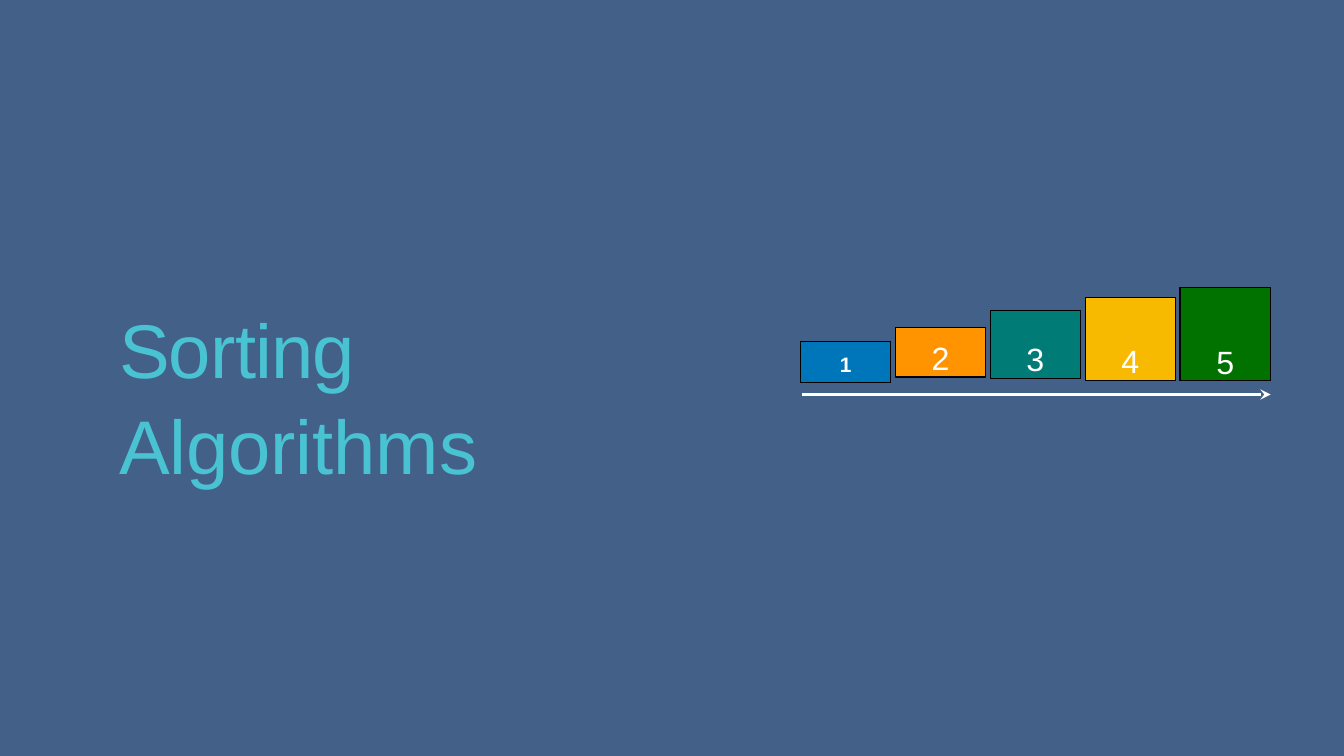
from lxml import etree
from pptx import Presentation
from pptx import util as u
from pptx.dml.color import RGBColor
from pptx.enum import shapes, text
from pptx.oxml.ns import qn

FONT = "Arial"
BARS = [
    ("1", "0076BA", 1.04, 9.64),
    ("2", "FF9300", 1.24, 9.5),
    ("3", "017B76", 1.7, 9.53),
    ("4", "F8BA00", 2.08, 9.58),
    ("5", "017100", 2.36, 9.6),
]


def paint(fmt, color):
    fmt.solid()
    fmt.fore_color.rgb = RGBColor.from_string(color)


def clear_insets(tf):
    tf.margin_left = tf.margin_top = tf.margin_right = tf.margin_bottom = 0


def add_run(p, words, size, color, bold=False, spacing=0):
    r = p.add_run()
    r.text = words
    r.font.name = FONT
    r.font.size = u.Pt(size)
    r.font.bold = bold
    paint(r.font.fill, color)
    if spacing:
        r._r.get_or_add_rPr().set("spc", str(spacing))


def add_title(s, left, top, width, height):
    sp = s.shapes.add_textbox(u.Cm(left), u.Cm(top), u.Cm(width), u.Cm(height))
    tf = sp.text_frame
    clear_insets(tf)
    tf.word_wrap = True
    p = tf.paragraphs[0]
    p.line_spacing = 1.05
    p.space_before = u.Pt(2.5)
    add_run(p, "Sorting ", 54.3, "49C3D2", spacing=-60)
    add_run(p, "Algorithms", 54.3, "49C3D2", spacing=-10)


def add_bar(s, left, width, number, color, height, bottom):
    sp = s.shapes.add_shape(shapes.MSO_SHAPE.RECTANGLE, u.Cm(left),
                            u.Cm(bottom - height), u.Cm(width), u.Cm(height))
    sp.shadow.inherit = False
    paint(sp.fill, color)
    paint(sp.line.fill, "000000")
    sp.line.width = u.Pt(0.82)
    tf = sp.text_frame
    clear_insets(tf)
    tf.vertical_anchor = text.MSO_ANCHOR.BOTTOM
    p = tf.paragraphs[0]
    p.alignment = text.PP_ALIGN.CENTER
    if number == "1":
        tf.margin_bottom = u.Cm(0.14)
        add_run(p, number, 14.9, "FFFFFF", bold=True, spacing=10)
    else:
        add_run(p, number, 23, "FFFFFF")


def add_arrow(s, left, right, y):
    line = s.shapes.add_connector(shapes.MSO_CONNECTOR.STRAIGHT,
                                  u.Cm(left), u.Cm(y), u.Cm(right), u.Cm(y))
    paint(line.line.fill, "FFFFFF")
    line.line.width = u.Pt(2.47)
    etree.SubElement(line.line._get_or_add_ln(), qn("a:tailEnd"),
                     type="stealth", w="med", len="med")
    etree.SubElement(line._element.spPr, qn("a:effectLst"))


def add_sorted_bars(s, left, width, arrow_y):
    gap = 0.11
    bar_width = (width - gap * (len(BARS) - 1)) / len(BARS)
    for i, bar in enumerate(BARS):
        add_bar(s, left + i * (bar_width + gap), bar_width, *bar)
    add_arrow(s, left + 0.05, left + width, arrow_y)


def main():
    prs = Presentation()
    prs.slide_width, prs.slide_height = u.Cm(33.87), u.Cm(19.05)
    s = prs.slides.add_slide(prs.slide_layouts[6])
    paint(s.background.fill, "436089")
    add_title(s, 3, 7.52, 15, 2.34)
    add_sorted_bars(s, 20.17, 11.85, 9.94)
    prs.save("out.pptx")


if __name__ == "__main__":
    main()
